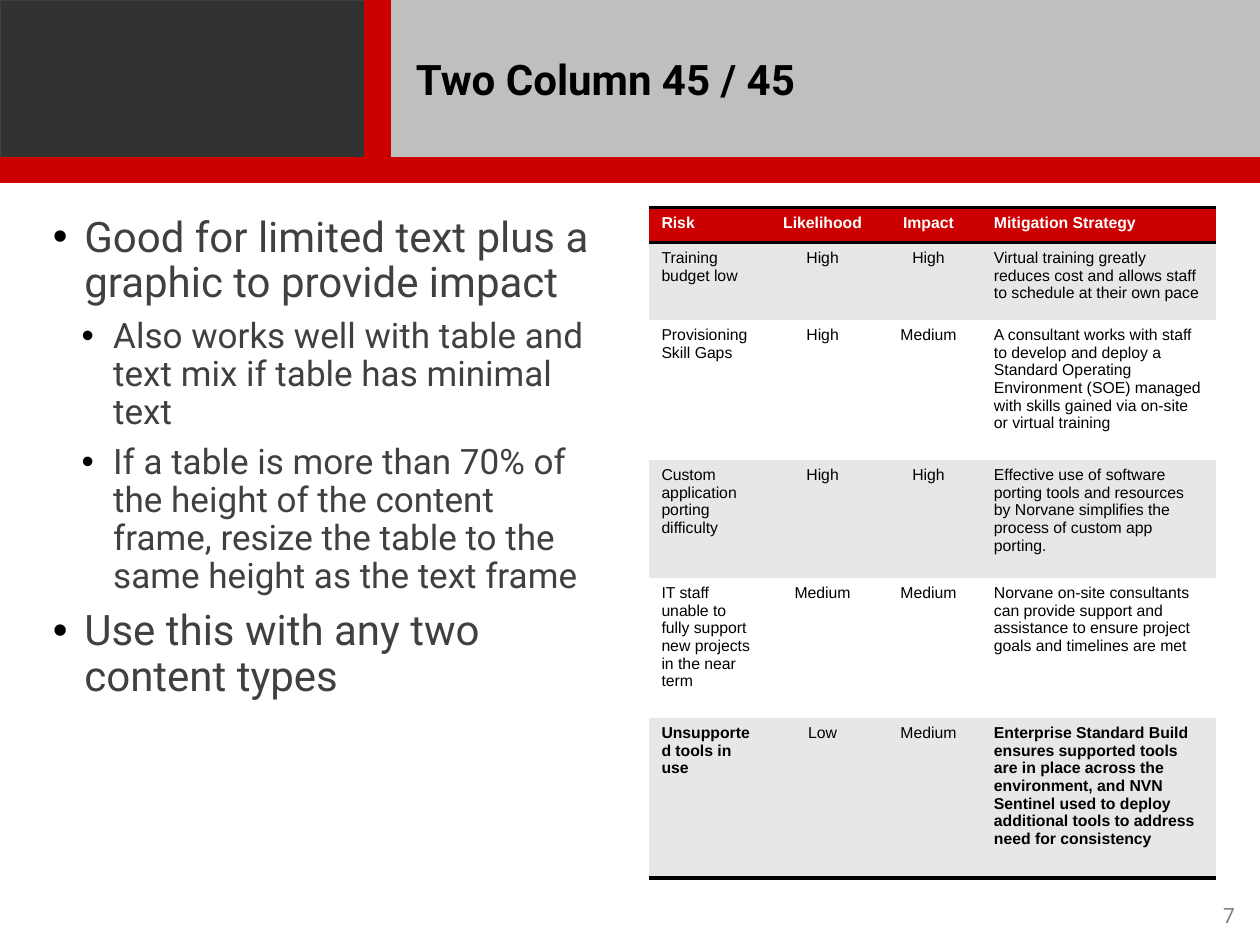
from lxml.etree import SubElement
from pptx import Presentation
from pptx.dml.color import RGBColor
from pptx.enum.shapes import MSO_SHAPE
from pptx.enum.text import MSO_ANCHOR, PP_ALIGN
from pptx.oxml.ns import qn
from pptx.util import Pt

COLORS = {
    "red": "CC0000", "silver": "BFBFBF", "charcoal": "323232", "edge": "404040",
    "text": "404040", "number": "7F7F7F", "band": "E7E7E7",
    "white": "FFFFFF", "black": "000000",
}
NO_GRID_STYLE = "{2D5ABB26-0587-4C30-8999-92F81FD0307C}"


def set_font(para, name, size, color, bold=False):
    para.font.name = name
    para.font.size = Pt(size)
    para.font.bold = bold
    para.font.color.rgb = RGBColor.from_string(COLORS[color])


def add_text_frame(left, top, width, height, insets):
    box = page.shapes.add_textbox(Pt(left), Pt(top), Pt(width), Pt(height))
    frame = box.text_frame
    frame.word_wrap = True
    frame.margin_left, frame.margin_top, frame.margin_right, frame.margin_bottom = map(Pt, insets)
    return frame


deck = Presentation()
deck.slide_width, deck.slide_height = Pt(720), Pt(540)
page = deck.slides.add_slide(deck.slide_layouts[6])

# Header blocks
header_blocks = [
    (222.5, 0, 497, 90, "silver", "silver"),
    (0, 0, 208.5, 90, "charcoal", "edge"),
    (0, 90, 720, 14.4, "red", "red"),
    (208.5, 0, 14.4, 90, "red", "red"),
]
for left, top, width, height, fill, line in header_blocks:
    block = page.shapes.add_shape(MSO_SHAPE.RECTANGLE, Pt(left), Pt(top), Pt(width), Pt(height))
    block.shadow.inherit = False
    block.fill.solid()
    block.fill.fore_color.rgb = RGBColor.from_string(COLORS[fill])
    block.line.color.rgb = RGBColor.from_string(COLORS[line])
    block.line.width = Pt(0.75)

# Title
title = add_text_frame(223.2, 0, 496.8, 90, (14.4, 7.2, 14.4, 7.2))
title.vertical_anchor = MSO_ANCHOR.MIDDLE
title.text = "Two Column 45 / 45"
set_font(title.paragraphs[0], "Roboto", 24, "black", bold=True)

# Page number
number = add_text_frame(632.2, 512, 80.6, 21.6, (7.2, 3.6, 7.2, 3.6))
number.text = "7"
number.paragraphs[0].alignment = PP_ALIGN.RIGHT
set_font(number.paragraphs[0], "Roboto", 12, "number")

# Bulleted text
bullets = [
    (0, "Good for limited text plus a graphic to provide impact"),
    (1, "Also works well with table and text mix if table has minimal text"),
    (1, "If a table is more than 70% of the height of the content frame, "
        "resize the table to the same height as the text frame"),
    (0, "Use this with any two content types"),
]
level_formats = [(24, 8, 18.5), (20, 7, 35)]  # size, space before, indent
body = add_text_frame(25.2, 118.8, 324, 382.3, (4.5, 4.5, 7.2, 4.5))
for index, (level, text) in enumerate(bullets):
    size, space, indent = level_formats[level]
    para = body.add_paragraph() if index else body.paragraphs[0]
    para.text = text
    para.level = level
    para.line_spacing = 0.9
    para.space_before = Pt(space)
    set_font(para, "Roboto", size, "text")
    properties = para._p.get_or_add_pPr()
    properties.set("marL", str(Pt(indent)))
    properties.set("indent", str(Pt(-18)))
    bullet_color = SubElement(properties, qn("a:buClr"))
    SubElement(bullet_color, qn("a:srgbClr"), val=COLORS["black"])
    SubElement(properties, qn("a:buFont"), typeface="Arial")
    SubElement(properties, qn("a:buChar"), char="•")

# Risk table
risks = [
    ("Risk", "Likelihood", "Impact", "Mitigation Strategy"),
    ("Training budget low", "High", "High",
     "Virtual training greatly reduces cost and allows staff to schedule at their own pace"),
    ("Provisioning Skill Gaps", "High", "Medium",
     "A consultant works with staff to develop and deploy a Standard Operating Environment "
     "(SOE) managed with skills gained via on-site or virtual training"),
    ("Custom application porting difficulty", "High", "High",
     "Effective use of software porting tools and resources by Norvane simplifies the "
     "process of custom app porting."),
    ("IT staff unable to fully support new projects in the near term", "Medium", "Medium",
     "Norvane on-site consultants can provide support and assistance to ensure project "
     "goals and timelines are met"),
    ("Unsupported tools in use", "Low", "Medium",
     "Enterprise Standard Build ensures supported tools are in place across the environment, "
     "and NVN Sentinel used to deploy additional tools to address need for consistency"),
]
column_widths = [69, 60.5, 60.5, 134]
row_heights = [20, 44, 80, 67.5, 80, 91.5]
last_row = len(risks) - 1
row_borders = {0: ["a:lnT", "a:lnB"], last_row: ["a:lnB"]}

table = page.shapes.add_table(
    len(risks), len(column_widths), Pt(370.8), Pt(118.8),
    Pt(sum(column_widths)), Pt(sum(row_heights))).table
table.first_row = table.horz_banding = False
table._tbl.tblPr.find(qn("a:tableStyleId")).text = NO_GRID_STYLE
for column, width in zip(table.columns, column_widths):
    column.width = Pt(width)

for r, values in enumerate(risks):
    table.rows[r].height = Pt(row_heights[r])
    fill = "red" if r == 0 else "band" if r % 2 else "white"
    for c, value in enumerate(values):
        centered = c in (1, 2)
        cell = table.cell(r, c)
        cell.text = value
        para = cell.text_frame.paragraphs[0]
        para.alignment = PP_ALIGN.CENTER if centered else PP_ALIGN.LEFT
        bold = r == 0 or (r == last_row and not centered)
        set_font(para, "Arial", 9, "black" if r else "white", bold)
        # Borders come before the fill in the cell properties
        cell_properties = cell._tc.get_or_add_tcPr()
        for side in row_borders.get(r, []):
            border = SubElement(cell_properties, qn(side), w=str(Pt(2)))
            border_fill = SubElement(border, qn("a:solidFill"))
            SubElement(border_fill, qn("a:srgbClr"), val=COLORS["black"])
        cell.fill.solid()
        cell.fill.fore_color.rgb = RGBColor.from_string(COLORS[fill])

deck.save("out.pptx")
